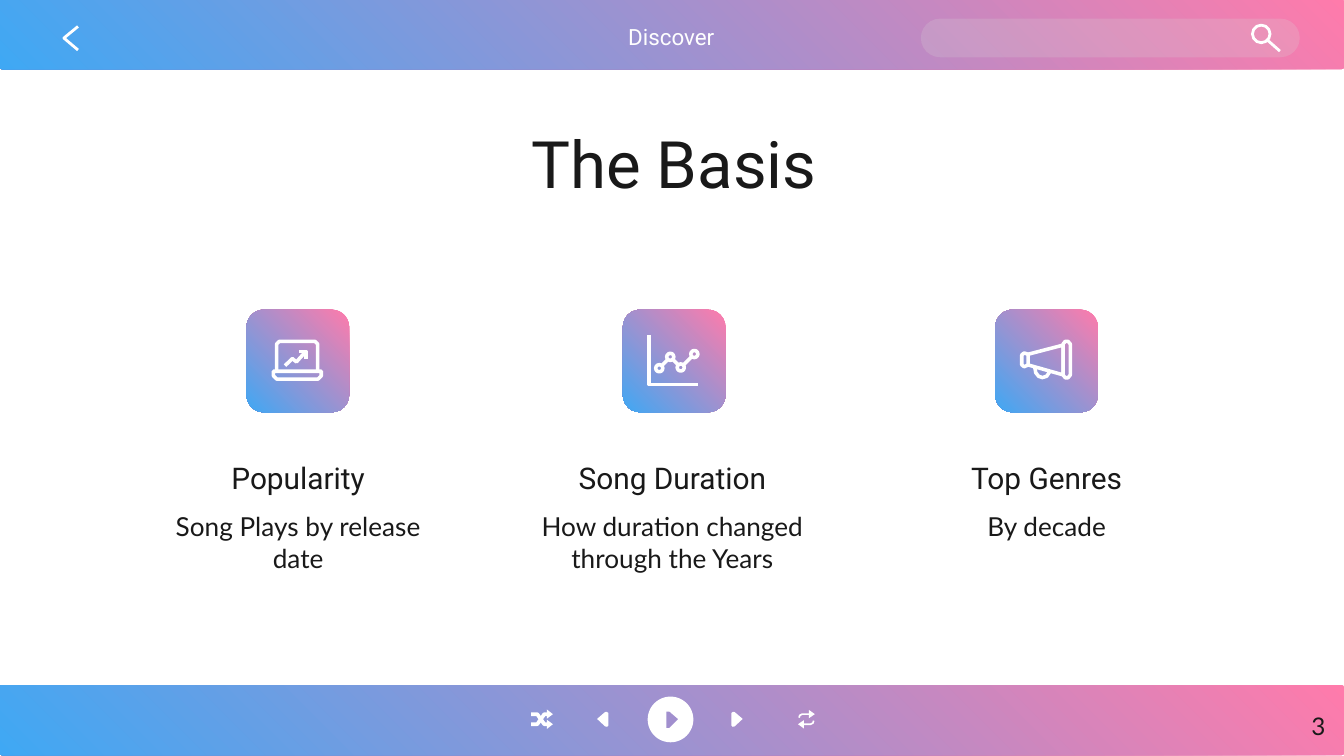
from math import hypot

from pptx import Presentation
from pptx.dml.color import RGBColor
from pptx.enum.shapes import MSO_CONNECTOR, MSO_SHAPE
from pptx.enum.text import MSO_ANCHOR, MSO_AUTO_SIZE, PP_ALIGN
from pptx.oxml.ns import qn
from pptx.util import Pt
from lxml import etree

ROUND, OVAL = MSO_SHAPE.ROUNDED_RECTANGLE, MSO_SHAPE.OVAL
STRAIGHT = MSO_CONNECTOR.STRAIGHT
TOP = MSO_ANCHOR.TOP
NO_FIT = MSO_AUTO_SIZE.NONE
CENTER, RIGHT = PP_ALIGN.CENTER, PP_ALIGN.RIGHT
WHITE, INK, PINK, BLUE, VIOLET = "FFFFFF", "191919", "FF7BAB", "3FA8F4", "A18FCE"
rgb = RGBColor.from_string


def paint(s, fill=None, line=None, width=1.5):
    s.shadow.inherit = False
    if fill:
        s.fill.solid()
        s.fill.fore_color.rgb = rgb(fill)
    else:
        s.fill.background()
    if line:
        s.line.color.rgb = rgb(line)
        s.line.width = Pt(width)
    else:
        s.line.fill.background()


def write(s, box, text, size, font, color=INK, align=CENTER, top=7.2):
    s.left, s.top, s.width, s.height = [Pt(v) for v in box]
    tf = s.text_frame
    tf.word_wrap = True
    tf.auto_size = NO_FIT
    tf.vertical_anchor = TOP
    tf.margin_left = tf.margin_right = tf.margin_bottom = Pt(7.2)
    tf.margin_top = Pt(top)
    p = tf.paragraphs[0]
    p.alignment = align
    r = p.add_run()
    r.text = text
    r.font.size = Pt(size)
    r.font.name = font
    r.font.bold = False
    r.font.color.rgb = rgb(color)


prs = Presentation()
prs.slide_width, prs.slide_height = Pt(720), Pt(405)
slide = prs.slides.add_slide(prs.slide_layouts[5])
shapes = slide.shapes

tile_lefts, tile_top, tile_size = (132.1, 333.7, 533.2), 165.9, 55
panels = [(0, -0.5, 720, 37.5, 0.03), (0, 367, 720, 37.5, 0.03)]
panels += [(x, tile_top, tile_size, tile_size, 0.17) for x in tile_lefts]
for x, y, w, h, corner in panels:
    s = shapes.add_shape(ROUND, Pt(x), Pt(y), Pt(w), Pt(h))
    s.adjustments[0] = corner
    paint(s)
    s.fill.gradient()
    s.fill.gradient_angle = 225
    for stop, color in zip(s.fill.gradient_stops, (PINK, BLUE)):
        stop.color.rgb = rgb(color)

search = shapes.add_shape(ROUND, Pt(493.3), Pt(10), Pt(203), Pt(20.7))
search.adjustments[0] = 0.5
paint(search, "D9D9D9")
color = search.fill._xPr.find(".//" + qn("a:srgbClr"))
etree.SubElement(color, qn("a:alpha")).set("val", "21000")

lens = shapes.add_shape(OVAL, Pt(671), Pt(13.5), Pt(9.4), Pt(9.4))
paint(lens, line=WHITE)
play = shapes.add_shape(OVAL, Pt(347), Pt(373.2), Pt(24.5), Pt(24.5))
paint(play, WHITE)

for x1, y1, x2, y2 in [(679, 21.5, 685.7, 27.4), (34, 20.6, 41.8, 14.2), (34, 20.2, 41.8, 26.8)]:
    s = shapes.add_connector(STRAIGHT, Pt(x1), Pt(y1), Pt(x2), Pt(y2))
    s.line.color.rgb = rgb(WHITE)
    s.line.width = Pt(1.5)
    etree.SubElement(s._element.spPr, qn("a:effectLst"))

strokes = []
solids = [([(357, 381.2), (358.5, 381.2), (363.2, 385.3), (358.5, 390), (357, 390)], VIOLET)]

axis_x, axis_y = 358.9, 385.3
skip = [(325.9, 382), (325.2, 381.4), (324.2, 381.5), (319.9, 385.2),
        (324.2, 389.2), (325.2, 389.4), (325.9, 388.8)]
solids += [(skip, WHITE), ([(2 * axis_x - x, y) for x, y in skip], WHITE)]

shuffle_line = [(284.5, 382.6), (287.8, 382.6), (291.6, 388), (294, 388)]
shuffle_head = [(293, 385.6), (296.2, 388), (293, 390.5)]
repeat_line = [(428.1, 384.5), (428.5, 383.2), (429.8, 382.6), (433.5, 382.6)]
repeat_head = [(433.3, 380.3), (436.5, 382.6), (433.3, 384.8)]
repeat_x = 432
for flip in (1, -1):
    strokes.append(([(x, axis_y + flip * (y - axis_y)) for x, y in shuffle_line], False, 2))
    solids.append(([(x, axis_y + flip * (y - axis_y)) for x, y in shuffle_head], WHITE))
    turned = [[(repeat_x + flip * (x - repeat_x), axis_y + flip * (y - axis_y)) for x, y in part]
              for part in (repeat_line, repeat_head)]
    strokes.append((turned[0], False, 0.9))
    solids.append((turned[1], WHITE))

laptop = [
    ([(16.1, 33), (16.1, 18.5), (17.6, 17), (36.6, 17), (38.1, 18.5), (38.1, 33)], False),
    ([(14.4, 33), (40, 33), (40, 35.5), (38.3, 37.2), (16.1, 37.2), (14.4, 35.5)], True),
    ([(20.6, 30), (24.5, 26.2), (26.7, 28), (31.5, 22.6)], False),
    ([(28, 22.4), (31.9, 22.4), (31.9, 26.5)], False),
]
nodes, radius = [(19.5, 31.4), (25.4, 25.3), (31, 31), (38.3, 23.8)], 1.9
chart = [([(13.9, 13.5), (13.9, 40), (40.5, 40)], False)]
for (x1, y1), (x2, y2) in zip(nodes, nodes[1:]):
    gap = radius / hypot(x2 - x1, y2 - y1)
    dx, dy = gap * (x2 - x1), gap * (y2 - y1)
    chart.append(([(x1 + dx, y1 + dy), (x2 - dx, y2 - dy)], False))
megaphone = [
    ([(36.3, 18.5), (37.5, 17), (39, 17), (40.2, 18.5), (40.2, 35),
      (39, 36.5), (37.5, 36.5), (36.3, 35)], True),
    ([(17.6, 23.9), (36.3, 19), (36.3, 34.9), (17.6, 29.6)], True),
    ([(17.6, 23.9), (15.5, 23.2), (14.2, 24.2), (14.2, 29.6), (15.5, 30.6), (17.6, 29.6)], False),
    ([(21.2, 31.2), (21.7, 33.8), (23.2, 35.7), (25.2, 36.4), (27.5, 35.7), (29, 33.5)], False),
]
for left, icon in zip(tile_lefts, (laptop, chart, megaphone)):
    for points, closed in icon:
        strokes.append(([(left + x, tile_top + y) for x, y in points], closed, 1.9))
for x, y in nodes:
    s = shapes.add_shape(OVAL, Pt(tile_lefts[1] + x - radius), Pt(tile_top + y - radius),
                         Pt(2 * radius), Pt(2 * radius))
    paint(s, line=WHITE, width=1.9)

outlines = [(points, closed, None, WHITE, width) for points, closed, width in strokes]
outlines += [(points, True, fill, None, 0) for points, fill in solids]
for points, closed, fill, line, width in outlines:
    corners = [(Pt(x), Pt(y)) for x, y in points]
    builder = shapes.build_freeform(*corners[0])
    builder.add_line_segments(corners[1:], close=closed)
    paint(builder.convert_to_shape(), fill, line, width)

write(shapes.title, (57.6, 59, 607, 45.4), "The Basis", 35, "Roboto")

columns = [
    ("Popularity", "Song Plays by release date"),
    ("Song Duration", "How duration changed through the Years"),
    ("Top Genres", "By decade"),
]
labels = [((295.2, 5, 128.9, 25.9), "Discover", 12, "Roboto", "FEFEFE", CENTER, 7.2),
          ((673.9, 373.9, 43.2, 31), "3", 13, "Lato", INK, RIGHT, 7.2)]
for i, (heading, detail) in enumerate(columns):
    left = 74 + 200.5 * i
    labels.append(((left, 246.2, 171.4, 30.2), heading, 16, "Roboto", INK, CENTER, 0))
    labels.append(((left, 273.6, 171.4, 57.6), detail, 14, "Lato", INK, CENTER, 0))
for box, *label in labels:
    write(shapes.add_textbox(0, 0, 0, 0), box, *label)

prs.save("out.pptx")
